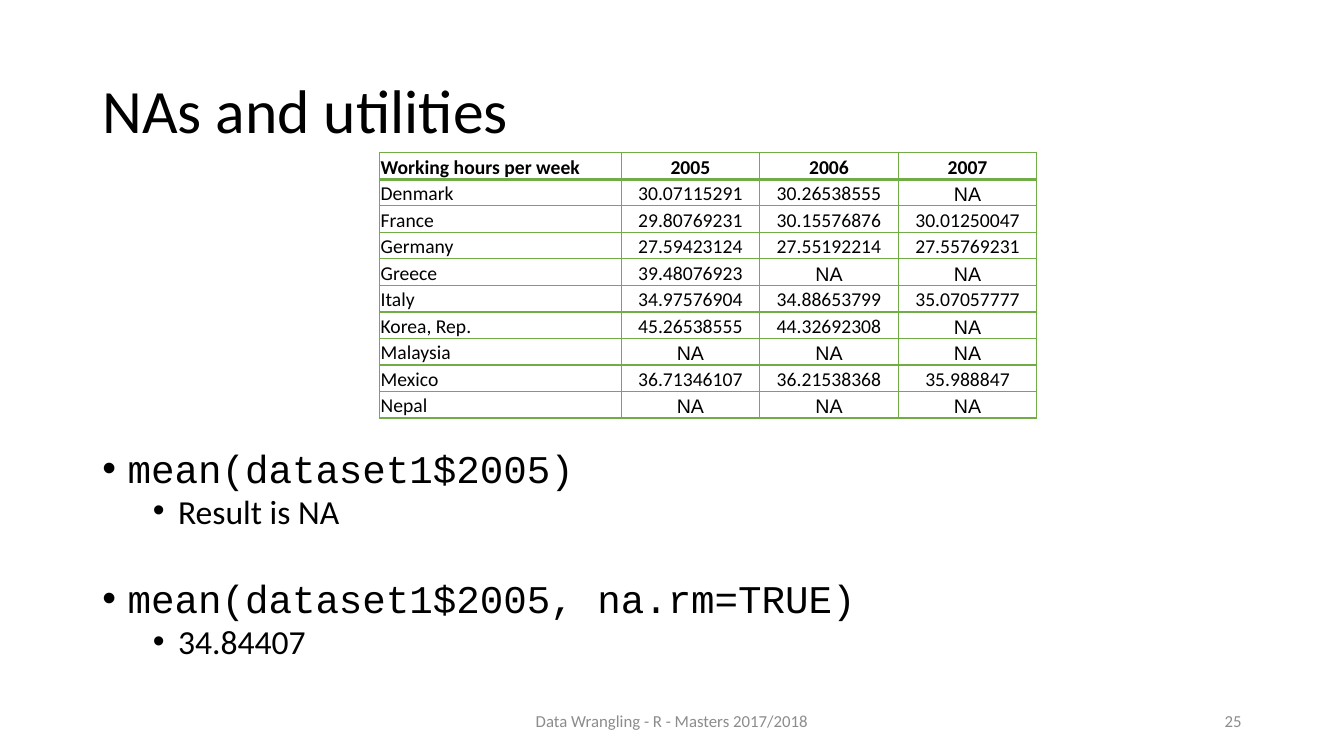
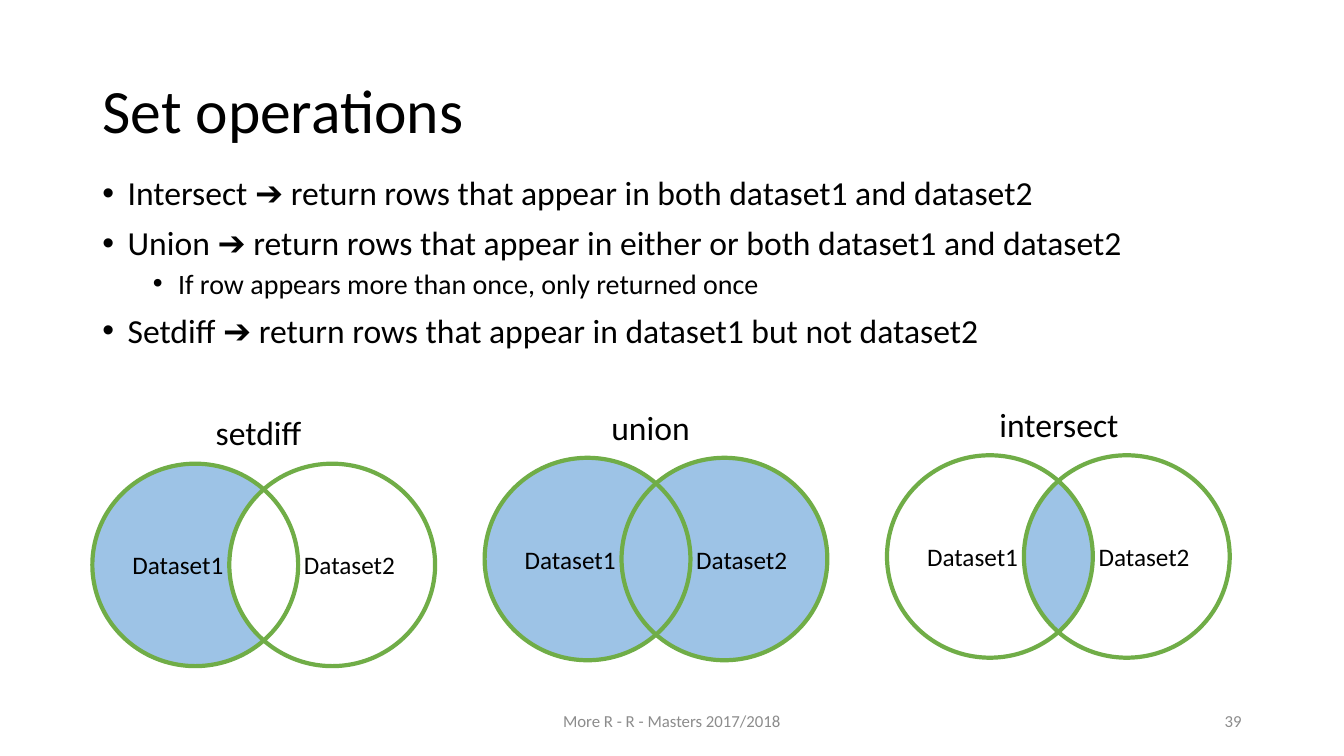
from dataclasses import dataclass
from math import acos, cos, pi, sin

from lxml import etree
from pptx import Presentation
from pptx import util as u
from pptx.dml.color import RGBColor
from pptx.enum import shapes, text
from pptx.oxml.ns import qn

UNIT = u.Inches(1) // 12  # the slide is 160 columns by 90 rows
WIDE, HIGH = 160, 90
LEFT, SPAN = 11, 138  # margin and width of the main column


@dataclass(frozen=True)
class Theme:
    sans: str = "Calibri"
    code: str = "Courier New"
    plain: str = "Arial"
    ink: str = "000000"
    grey: str = "8C8C8C"
    green: str = "70AD47"
    blue: str = "9DC3E6"
    white: str = "FFFFFF"
    title: int = 44
    big: int = 28
    mid: int = 24
    small: int = 20
    label: int = 18
    cell: int = 14
    foot: int = 12


T = Theme()
ALIGN, ANCHOR = text.PP_ALIGN, text.MSO_ANCHOR


# Helpers
def grid(*vals):
    return [round(v * UNIT) for v in vals]


def put(obj, **form):
    for key, val in form.items():
        setattr(obj, key, val)


def write(para, words, size, font=T.sans, color=T.ink, bold=False, **form):
    put(para, **form)
    run = para.add_run()
    run.text = words
    put(run.font, size=u.Pt(size), name=font, bold=bold)
    run.font.color.rgb = RGBColor.from_string(color)


def place(shape, *box):
    put(shape, **dict(zip(("left", "top", "width", "height"), grid(*box))))


def note(slide, words, box, size, color=T.ink, align=ALIGN.LEFT, anchor=ANCHOR.TOP):
    frame = slide.shapes.add_textbox(*grid(*box)).text_frame
    put(frame, word_wrap=True, vertical_anchor=anchor)
    write(frame.paragraphs[0], words, size, color=color, alignment=align)


# Shared title and footer
def page(deck, title, foot, num):
    slide = deck.slides.add_slide(deck.slide_layouts[1])
    head = slide.shapes.title
    place(head, LEFT, 4.8, SPAN, 17.4)
    put(head.text_frame, vertical_anchor=ANCHOR.MIDDLE, auto_size=text.MSO_AUTO_SIZE.NONE)
    write(head.text_frame.paragraphs[0], title, T.title,
          alignment=ALIGN.LEFT, line_spacing=0.9)
    for words, col, span, align in ((foot, 53, 54, ALIGN.CENTER),
                                    (num, 113, 36, ALIGN.RIGHT)):
        note(slide, words, (col, 83.4, span, 4.8), T.foot, T.grey, align, ANCHOR.MIDDLE)
    return slide


# Bulleted list: each item is level, words, size, font, space before
def bullets(slide, top, height, items, line):
    body = slide.placeholders[1]
    place(body, LEFT, top, SPAN, height)
    frame = body.text_frame
    frame.auto_size = text.MSO_AUTO_SIZE.NONE
    for i, (level, words, size, font, gap) in enumerate(items):
        para = frame.add_paragraph() if i else frame.paragraphs[0]
        write(para, words, size, font, level=level, line_spacing=line,
              space_before=u.Pt(gap), alignment=ALIGN.LEFT)
        props = para._p.get_or_add_pPr()
        props.set("marL", str(u.Inches(0.25 + 0.5 * level)))
        props.set("indent", str(u.Inches(-0.25)))
        etree.SubElement(props, qn("a:buFont"), typeface=T.plain)
        etree.SubElement(props, qn("a:buChar"), char="•")


# Table
def border(cell, side, width):
    line = etree.SubElement(cell._tc.get_or_add_tcPr(), qn("a:ln" + side),
                            w=str(u.Pt(width)))
    fill = etree.SubElement(line, qn("a:solidFill"))
    etree.SubElement(fill, qn("a:srgbClr"), val=T.green)


def table(slide, rows, left, top, cols, step):
    box = grid(left, top, sum(cols), step * len(rows))
    tab = slide.shapes.add_table(len(rows), len(cols), *box).table
    put(tab, first_row=False, horz_banding=False)
    for col, span in zip(tab.columns, grid(*cols)):
        col.width = span
    edge = u.Inches(0.01)
    for r, row in enumerate(rows):
        tab.rows[r].height = grid(step)[0]
        for c, words in enumerate(row):
            cell = tab.cell(r, c)
            put(cell, margin_left=edge, margin_right=edge, margin_top=edge,
                margin_bottom=0, vertical_anchor=ANCHOR.BOTTOM)
            for side in "LRTB":
                head = (r, side) in ((0, "B"), (1, "T"))
                border(cell, side, 2 if head else 1)
            cell.fill.background()
            write(cell.text_frame.paragraphs[0], words, T.cell,
                  T.plain if words == "NA" else T.sans, bold=r == 0,
                  alignment=ALIGN.CENTER if c else ALIGN.LEFT)


# Venn diagrams
RING_W, RING_H, SHIFT = 24.5, 24.1, 16.3


def paint(shape, fill=None, line=None):
    shape.shadow.inherit = False
    for part, color in ((shape.fill, fill), (shape.line.fill, line)):
        if color:
            part.solid()
            part.fore_color.rgb = RGBColor.from_string(color)
        else:
            part.background()
    if line:
        shape.line.width = u.Pt(3)


def ring(slide, left, top, **look):
    shape = slide.shapes.add_shape(shapes.MSO_SHAPE.OVAL,
                                   *grid(left, top, RING_W, RING_H))
    paint(shape, **look)
    return shape


def lens(slide, left, top):
    rad_x, rad_y = RING_W / 2, RING_H / 2
    turn, steps = acos(SHIFT / RING_W), 24
    dots = []
    for mid, start in ((left + rad_x, 0), (left + SHIFT + rad_x, pi)):
        for i in range(steps + 1):
            ang = start - turn + 2 * turn * i / steps
            dots.append(grid(mid + rad_x * cos(ang), top + rad_y * (1 + sin(ang))))
    path = slide.shapes.build_freeform(*dots[0], scale=1.0)
    path.add_line_segments(dots[1:], close=True)
    paint(path.convert_to_shape(), fill=T.blue)


def venn(slide, name, left, top, tab, fills):
    if fills:
        for i, fill in enumerate(fills):
            ring(slide, left + i * SHIFT, top, fill=fill)
    else:
        lens(slide, left, top)
    for i, align in enumerate((ALIGN.LEFT, ALIGN.RIGHT)):
        frame = ring(slide, left + i * SHIFT, top, line=T.green).text_frame
        put(frame, vertical_anchor=ANCHOR.MIDDLE, word_wrap=True)
        write(frame.paragraphs[0], f"Dataset{i + 1}", T.label, alignment=align)
    note(slide, name, (left + tab, top - 6.7, 28, 6), T.mid)


# Content
HOURS = """Working hours per week|2005|2006|2007
Denmark|30.07115291|30.26538555|NA
France|29.80769231|30.15576876|30.01250047
Germany|27.59423124|27.55192214|27.55769231
Greece|39.48076923|NA|NA
Italy|34.97576904|34.88653799|35.07057777
Korea, Rep.|45.26538555|44.32692308|NA
Malaysia|NA|NA|NA
Mexico|36.71346107|36.21538368|35.988847
Nepal|NA|NA|NA"""

MEANS = [
    (0, "mean(dataset1$2005)", T.big, T.code, 10),
    (1, "Result is NA", T.mid, T.sans, 5),
    (0, "mean(dataset1$2005, na.rm=TRUE)", T.big, T.code, 38),
    (1, "34.84407", T.mid, T.sans, 5),
]

SETS = [
    (0, "Intersect ➔ return rows that appear in both dataset1 and dataset2",
     T.mid, T.sans, 10),
    (0, "Union ➔ return rows that appear in either or both dataset1 and dataset2",
     T.mid, T.sans, 10),
    (1, "If row appears more than once, only returned once", T.small, T.sans, 5),
    (0, "Setdiff ➔ return rows that appear in dataset1 but not dataset2",
     T.mid, T.sans, 10),
]

# name, left, top, label offset, fills (none: only the overlap)
VENNS = [
    ("setdiff", 11, 55.2, 13.5, (T.blue, T.white)),
    ("union", 57.7, 54.5, 13.9, (T.blue, T.blue)),
    ("intersect", 105.6, 54.2, 12.2, None),
]


def main():
    deck = Presentation()
    put(deck, slide_width=WIDE * UNIT, slide_height=HIGH * UNIT)

    slide = page(deck, "NAs and utilities", "Data Wrangling - R - Masters 2017/2018", "25")
    bullets(slide, 53.4, 27.8, MEANS, 0.8)
    rows = [row.split("|") for row in HOURS.splitlines()]
    table(slide, rows, 45.2, 18.2, [28.75] + [16.5] * 3, 3.16)

    slide = page(deck, "Set operations", "More R - R - Masters 2017/2018", "39")
    bullets(slide, 20.4, 57.1, SETS, 0.9)
    for item in VENNS:
        venn(slide, *item)

    deck.save("out.pptx")


if __name__ == "__main__":
    main()
